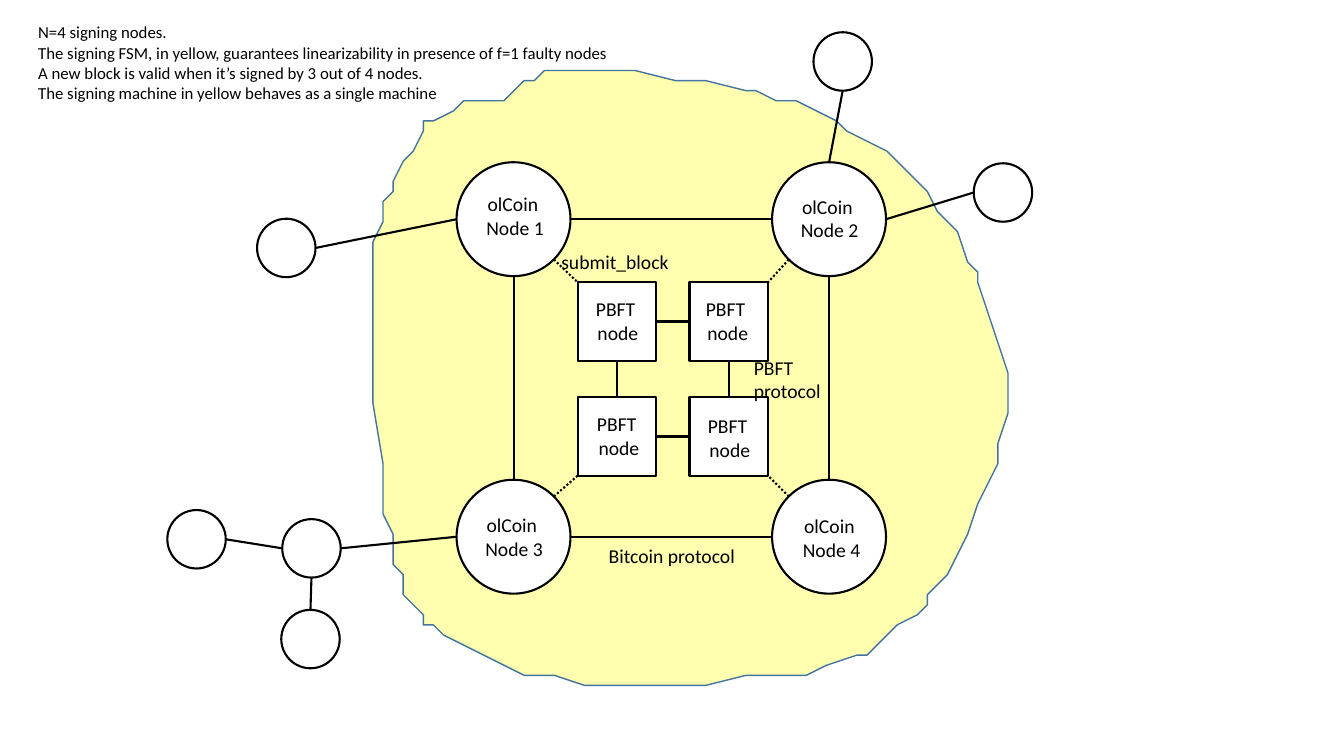
import math

import pptx
import pptx.dml.color
import pptx.enum.dml
import pptx.enum.shapes
import pptx.enum.text
import pptx.oxml.ns
import pptx.util
from lxml import etree

BLACK = pptx.dml.color.RGBColor(0x00, 0x00, 0x00)
WHITE = pptx.dml.color.RGBColor(0xFF, 0xFF, 0xFF)
PALE_YELLOW = pptx.dml.color.RGBColor(0xFF, 0xFF, 0xAF)
STEEL_BLUE = pptx.dml.color.RGBColor(0x43, 0x73, 0x9E)

# Square grid cells, 75 rows to the slide's height
SLIDE_COLS, SLIDE_ROWS = 133.33, 75
CELL = pptx.util.Inches(0.1)

COIN_SIZE, PBFT_SIZE, PEER_SIZE = 11.3, 7.8, 5.8
COIN_COLS, COIN_ROWS = (50.95, 82.25), (21.75, 53.25)
PBFT_COLS, PBFT_ROWS = (61.2, 72.3), (31.9, 43.3)
CORNERS = [(row, col) for row in range(2) for col in range(2)]

TOP, LEFT, BOTTOM, RIGHT = range(4)
SIDE_STEPS = {TOP: (0, -0.5), LEFT: (-0.5, 0), BOTTOM: (0, 0.5), RIGHT: (0.5, 0)}

OVAL = pptx.enum.shapes.MSO_SHAPE.OVAL
RECTANGLE = pptx.enum.shapes.MSO_SHAPE.RECTANGLE
CENTER = pptx.enum.text.PP_ALIGN.CENTER
FRAME_FORMAT = {
    "word_wrap": False,
    "auto_size": pptx.enum.text.MSO_AUTO_SIZE.SHAPE_TO_FIT_TEXT,
}
SOLID = {"width": pptx.util.Pt(1.5)}
DOTTED = {**SOLID, "dash_style": pptx.enum.dml.MSO_LINE.ROUND_DOT}
THIN = {"width": pptx.util.Pt(1)}

PEERS = {
    "south": (30.8, 63.4),
    "far west": (19.5, 53.5),
    "hub": (30.9, 54.4),
    "west": (28.4, 24.6),
    "north": (83.6, 6.1),
    "east": (99.5, 19.1),
}
COIN_LABELS = [(47.2, 18.6), (78.4, 18.8), (47.1, 50.4), (78.6, 50.5)]
PBFT_LABELS = [(58.1, 29), (69, 29), (58.2, 40.4), (69.2, 40.6)]
SUMMARY = [
    "N=4 signing nodes.",
    "The signing FSM, in yellow, guarantees linearizability in presence of f=1 faulty nodes",
    "A new block is valid when it’s signed by 3 out of 4 nodes.",
    "The signing machine in yellow behaves as a single machine",
]
SIGNING_AREA = [
    (50.9, 9.4), (49.9, 9.7), (48.4, 9.9), (46.7, 10.2), (45.8, 10.5), (44.7, 10.8),
    (43.4, 11.5), (42.4, 12.3), (41.5, 13.4), (40.6, 14.9), (39.9, 16.1), (39.3, 17.5),
    (38.8, 18.9), (38.3, 20.4), (37.8, 21.7), (37.4, 23.6), (37.1, 25.1), (36.9, 26.2),
    (36.8, 28.7), (36.9, 31.3), (37.1, 33), (37.3, 34.5), (37.3, 39.5), (37.5, 45.8),
    (37.9, 48.3), (38.1, 49.8), (38.4, 51.2), (38.8, 53.3), (39.3, 55.8), (39.6, 57.1),
    (40.2, 58.7), (40.6, 59.5), (41, 60.3), (41.7, 61.2), (42.3, 61.9), (42.8, 62.5),
    (44, 63.3), (46.1, 64.5), (47.7, 65.2), (49.5, 66), (52.1, 66.7), (55.2, 67.2),
    (58.5, 67.5), (60.2, 67.75), (62.4, 67.8), (69.9, 67.6), (74.3, 67.2), (79.8, 66.6),
    (82.5, 66), (84.9, 65.3), (86.5, 64.6), (87.9, 63.4), (89.4, 62.4), (90.8, 61.2),
    (91.7, 59.5), (92, 59.2), (93.6, 56.6), (94.6, 55), (95.8, 52.8), (97.3, 50.4),
    (98.1, 48.4), (99.1, 45.6), (99.4, 44), (99.9, 41.1), (99.8, 36.6), (99.1, 33.5),
    (98.1, 30.6), (97.1, 28.1), (96.8, 27), (96.1, 25.7), (94.8, 23.3), (93.8, 22),
    (93.1, 20.7), (91.5, 18.9), (90, 17.2), (87.5, 15.3), (85.7, 13.9), (84.3, 13),
    (82.6, 12), (81, 11.2), (78.6, 10.1), (77, 9.5), (75.3, 9), (73.7, 8.6), (70.1, 8),
    (67.1, 7.6), (63.3, 7.3), (54.4, 7.4), (53.2, 7.6), (52.3, 8.3), (51.4, 8.9),
]


def cells(*counts):
    return [round(count * CELL) for count in counts]


def apply_format(target, values):
    for attribute, value in values.items():
        setattr(target, attribute, value)


def paint(shape, fill, line, line_format):
    shape.shadow.inherit = False
    shape.fill.solid()
    shape.fill.fore_color.rgb = fill
    shape.line.color.rgb = line
    apply_format(shape.line, line_format)


def add_signing_area(slide):
    builder = slide.shapes.build_freeform(*SIGNING_AREA[0], scale=CELL)
    builder.add_line_segments(SIGNING_AREA[1:], close=True)
    paint(builder.convert_to_shape(), PALE_YELLOW, STEEL_BLUE, THIN)


def add_node(slide, outline, center, size):
    corner = [middle - size / 2 for middle in center]
    node = slide.shapes.add_shape(outline, *cells(*corner, size, size))
    paint(node, WHITE, BLACK, SOLID)
    return node


def side_point(center, size, side):
    return [middle + size * step for middle, step in zip(center, SIDE_STEPS[side])]


def add_link(slide, start, end, line_format=SOLID):
    link = slide.shapes.add_connector(
        pptx.enum.shapes.MSO_CONNECTOR.STRAIGHT, *cells(*start, *end)
    )
    link.line.color.rgb = BLACK
    apply_format(link.line, line_format)
    properties = link._element.find(pptx.oxml.ns.qn("p:spPr"))
    etree.SubElement(properties, pptx.oxml.ns.qn("a:effectLst"))
    return link


def add_label(slide, lines, corner, size, points=14, align=None):
    frame = slide.shapes.add_textbox(*cells(*corner, *size)).text_frame
    apply_format(frame, FRAME_FORMAT)
    frame.text = "\n".join(lines)
    for paragraph in frame.paragraphs:
        paragraph.alignment = align
        font = paragraph.runs[0].font
        apply_format(font, {"name": "Calibri", "size": pptx.util.Pt(points)})
        font.color.rgb = BLACK


def link_peers(slide, coins):
    """Join the outer circles to each other and to the signing nodes."""
    ends = {name: (center, PEER_SIZE) for name, center in PEERS.items()}
    ends.update({corner: (center, COIN_SIZE) for corner, center in coins.items()})
    for start, start_side, end, end_side in [
        ("north", BOTTOM, (0, 1), TOP),
        ("east", LEFT, (0, 1), RIGHT),
        ((0, 0), LEFT, "west", RIGHT),
        ((1, 0), LEFT, "hub", RIGHT),
        ("hub", BOTTOM, "south", TOP),
        ("far west", RIGHT, "hub", LEFT),
    ]:
        add_link(slide, side_point(*ends[start], start_side), side_point(*ends[end], end_side))


def main():
    deck = pptx.Presentation()
    deck.slide_width, deck.slide_height = cells(SLIDE_COLS, SLIDE_ROWS)
    slide = deck.slides.add_slide(deck.slide_layouts[6])

    coins = {(row, col): (COIN_COLS[col], COIN_ROWS[row]) for row, col in CORNERS}
    pbfts = {(row, col): (PBFT_COLS[col], PBFT_ROWS[row]) for row, col in CORNERS}
    add_signing_area(slide)
    for center in coins.values():
        add_node(slide, OVAL, center, COIN_SIZE)
    boxes = {corner: add_node(slide, RECTANGLE, center, PBFT_SIZE)
             for corner, center in pbfts.items()}
    for center in PEERS.values():
        add_node(slide, OVAL, center, PEER_SIZE)

    for start, end, out_side, in_side in [
        ((0, 0), (0, 1), RIGHT, LEFT),
        ((1, 0), (1, 1), RIGHT, LEFT),
        ((0, 0), (1, 0), BOTTOM, TOP),
        ((0, 1), (1, 1), BOTTOM, TOP),
    ]:
        add_link(slide, side_point(coins[start], COIN_SIZE, out_side),
                 side_point(coins[end], COIN_SIZE, in_side))
        inner = add_link(slide, pbfts[start], pbfts[end])
        inner.begin_connect(boxes[start], out_side)
        inner.end_connect(boxes[end], in_side)

    rim = COIN_SIZE / 2 * math.sqrt(0.5)
    for row, col in CORNERS:
        inward = (1 - 2 * col, 1 - 2 * row)
        coin_rim = [c + rim * way for c, way in zip(coins[row, col], inward)]
        box_corner = [c - PBFT_SIZE / 2 * way for c, way in zip(pbfts[row, col], inward)]
        add_link(slide, coin_rim, box_corner, DOTTED)
    link_peers(slide, coins)

    for number, corner in enumerate(COIN_LABELS, 1):
        add_label(slide, ["olCoin ", f"Node {number}"], corner, (7.8, 5.7), align=CENTER)
    for corner in PBFT_LABELS:
        add_label(slide, ["PBFT ", "node"], corner, (6.4, 5.7), align=CENTER)
    add_label(slide, ["Bitcoin protocol"], (59.4, 53.5), (14.7, 3.4))
    add_label(slide, ["PBFT", "protocol"], (73.8, 34.8), (8.7, 5.7))
    add_label(slide, ["submit_block"], (54.7, 24.3), (12.8, 3.4))
    add_label(slide, SUMMARY, (2.8, 1.7), (59.1, 9.1), points=12)
    deck.save("out.pptx")


if __name__ == "__main__":
    main()
